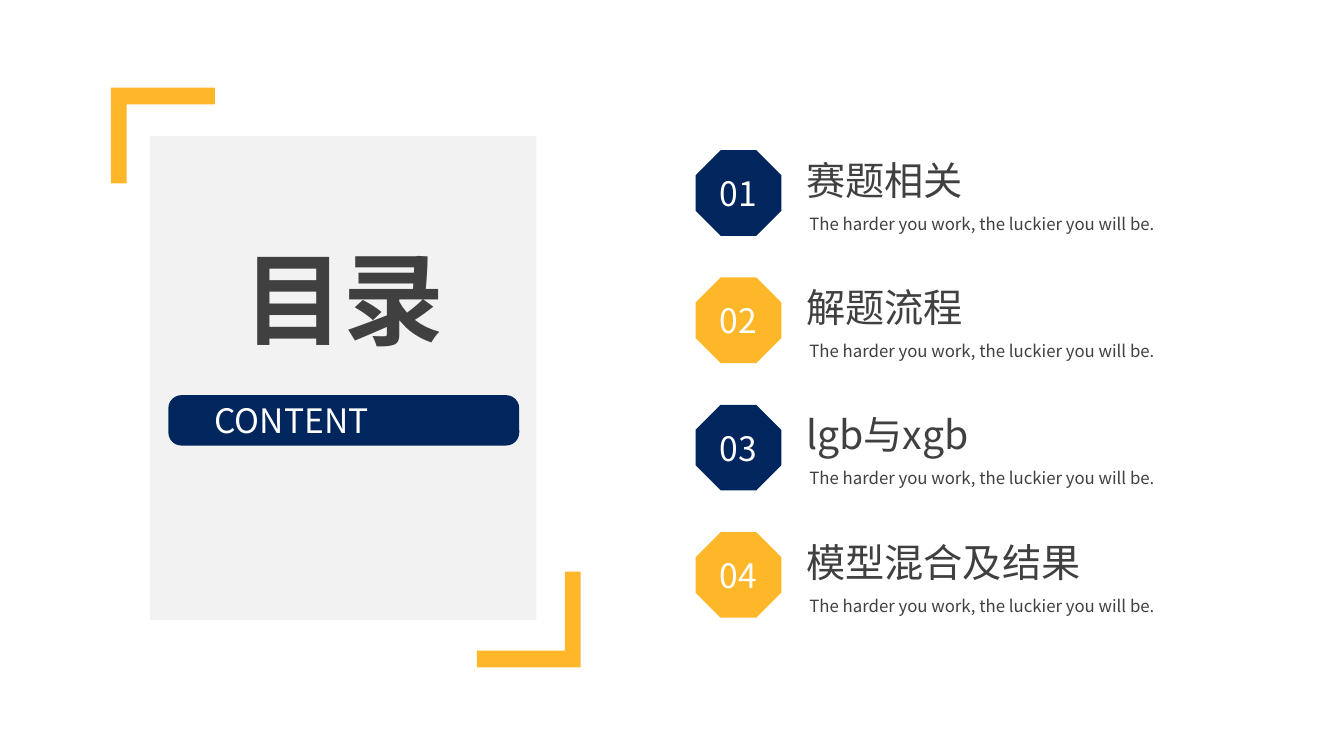
from typing import NamedTuple

from lxml.etree import SubElement
from pptx import Presentation
from pptx.dml.color import RGBColor
from pptx.enum.shapes import MSO_SHAPE as Shape
from pptx.enum.text import MSO_ANCHOR as Anchor, MSO_AUTO_SIZE as AutoSize, PP_ALIGN as Align
from pptx.oxml.ns import qn
from pptx.util import Inches, Pt

FONT = "Noto Sans CJK SC"
NAVY, AMBER, GREY, INK, WHITE = "00265D", "FEB728", "F2F2F2", "404040", "FFFFFF"
CAPTION = "The harder you work, the luckier you will be."


class Box(NamedTuple):
    """Left, top, width and height in percent of the slide's size."""
    x: float
    y: float
    w: float
    h: float


class Style(NamedTuple):
    size: int
    color: str
    align: Align = Align.LEFT
    bold: bool = False
    spacing: float = 1.0


class Topic(NamedTuple):
    number: str
    heading: str
    color: str


TITLE = Style(72, INK, Align.CENTER, bold=True)
SUBTITLE = Style(24, WHITE, Align.JUSTIFY)
NUMBER = Style(24, WHITE, Align.CENTER)
HEADING = Style(28, INK)
DETAIL = Style(12, INK, spacing=1.3)

TOPICS = [
    Topic("01", "赛题相关", NAVY),
    Topic("02", "解题流程", AMBER),
    Topic("03", "lgb与xgb", NAVY),
    Topic("04", "模型混合及结果", AMBER),
]
FIRST_ROW, ROW_PITCH = 19.87, 16.84
# Bracket arms: length and thickness across and down
ARM_W, ARM_H, THICK_W, THICK_H = 7.73, 12.67, 1.18, 2.2

prs = Presentation()
prs.slide_width, prs.slide_height = Inches(13.33), Inches(7.5)
slide = prs.slides.add_slide(prs.slide_layouts[5])
shapes = slide.shapes


def rgb(color: str) -> RGBColor:
    return RGBColor.from_string(color)


def place(box: Box) -> tuple[int, int, int, int]:
    """Turn shares of the slide into lengths."""
    w, h = prs.slide_width / 100, prs.slide_height / 100
    return int(box.x * w), int(box.y * h), int(box.w * w), int(box.h * h)


def write(sp, text: str, style: Style, anchor: Anchor = Anchor.TOP) -> None:
    tf = sp.text_frame
    tf.word_wrap, tf.auto_size, tf.vertical_anchor = True, AutoSize.NONE, anchor
    p = tf.paragraphs[0]
    p.alignment, p.line_spacing = style.align, style.spacing
    r = p.add_run()
    r.text = text
    r.font.size, r.font.bold, r.font.name = Pt(style.size), style.bold, FONT
    r.font.color.rgb = rgb(style.color)
    SubElement(r.font._element, qn("a:ea"), typeface=FONT)


def paint(sp, color: str) -> None:
    sp.shadow.inherit = False
    sp.fill.solid()
    sp.fill.fore_color.rgb = rgb(color)
    sp.line.fill.background()


def add_shape(kind: Shape, box: Box, color: str):
    sp = shapes.add_shape(kind, *place(box))
    paint(sp, color)
    return sp


def add_text(box: Box, text: str, style: Style) -> None:
    write(shapes.add_textbox(*place(box)), text, style)


def add_bracket(x: float, y: float, side: int) -> None:
    """Draw an L from its outer corner; side 1 opens right and down, -1 left and up."""
    outline = [(0, 0), (ARM_W, 0), (ARM_W, THICK_H), (THICK_W, THICK_H),
               (THICK_W, ARM_H), (0, ARM_H)]
    points = [place(Box(x + side * dx, y + side * dy, 0, 0))[:2] for dx, dy in outline]
    builder = shapes.build_freeform(*points[0])
    builder.add_line_segments(points[1:])
    paint(builder.convert_to_shape(), AMBER)


def add_topic(topic: Topic, y: float) -> None:
    badge = add_shape(Shape.OCTAGON, Box(51.76, y, 6.38, 11.33), topic.color)
    write(badge, topic.number, NUMBER, Anchor.MIDDLE)
    add_text(Box(59.26, y + 0.1, 29.71, 7.6), topic.heading, HEADING)
    add_text(Box(59.49, y + 6.93, 29.86, 4.67), CAPTION, DETAIL)


# Framed panel
add_bracket(43.21, 88.27, -1)
add_bracket(8.25, 11.6, 1)
add_shape(Shape.RECTANGLE, Box(11.18, 18, 28.73, 64), GREY)
bar = add_shape(Shape.ROUNDED_RECTANGLE, Box(12.53, 52.27, 26.11, 6.67), NAVY)
bar.adjustments[0] = 0.26

# Title, brought in front of the panel
title = shapes.title
title.left, title.top, title.width, title.height = place(Box(15.23, 30.67, 20.71, 17.47))
write(title, "目录", TITLE)
shapes._spTree.append(title._element)
add_text(Box(15.23, 52.27, 20.71, 6.67), "CONTENT", SUBTITLE)

# Topics, one per row
for row, topic in enumerate(TOPICS):
    add_topic(topic, FIRST_ROW + row * ROW_PITCH)

prs.save("out.pptx")
